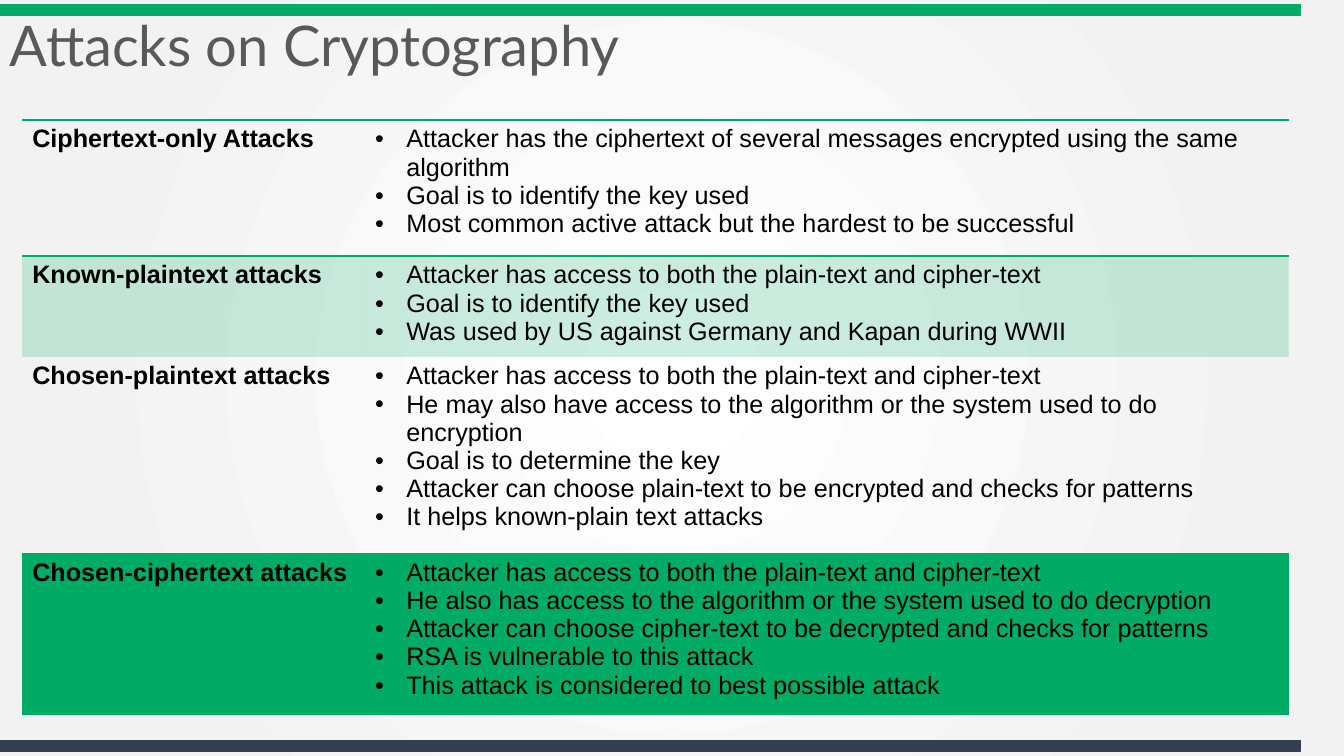
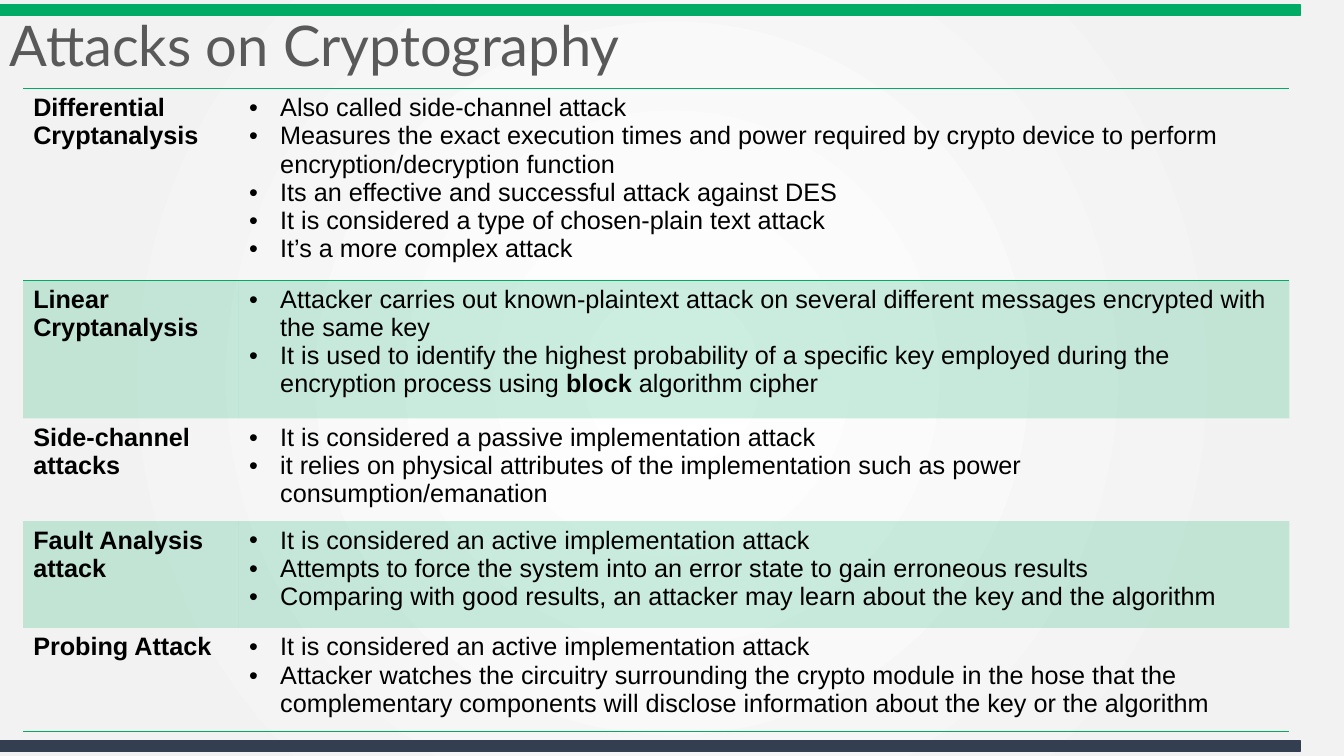
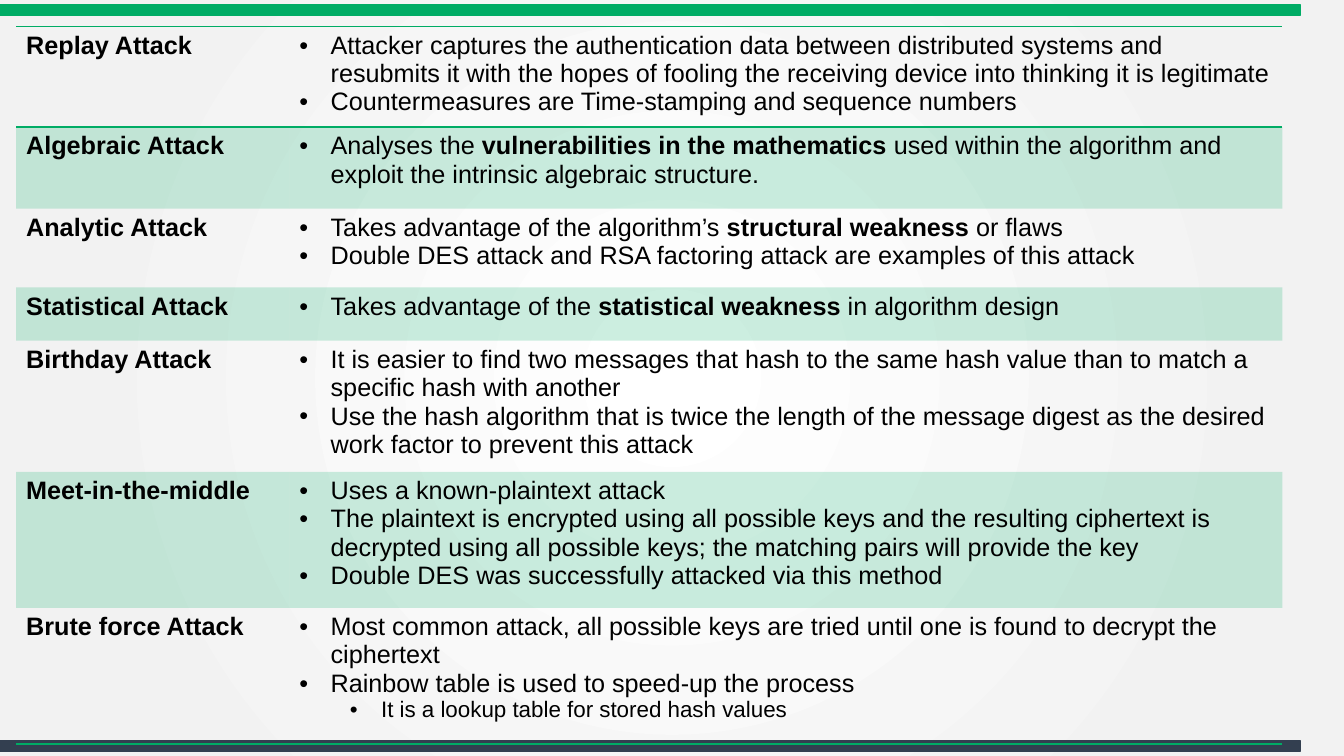
from dataclasses import dataclass

from pptx import Presentation
from pptx.dml.color import RGBColor
from pptx.enum.shapes import MSO_SHAPE as Shape
from pptx.enum.text import MSO_ANCHOR as Anchor
from pptx.oxml import parse_xml
from pptx.oxml.ns import nsdecls, qn
from pptx.util import Emu, Pt
from lxml.etree import SubElement

PX = 9144  # EMU per px, 100 px to the inch
NO_STYLE = "{2D5ABB26-0587-4C30-8999-92F81FD0307C}"


@dataclass(frozen=True)
class Theme:
    green: str = "00AC65"
    navy: str = "333F50"
    title_grey: str = "595959"
    black: str = "000000"
    centre: str = "FFFFFF"
    edge: str = "F2F2F2"
    tint: int = 20  # opacity of shaded rows, percent
    title_font: str = "Lato"
    body_font: str = "Arial"
    title_size: int = 40
    body_size: int = 18
    sub_size: int = 16
    line_width: int = 1


class AttackDeck:
    """Holds the style, the deck and the current slide."""

    def __init__(self, theme):
        self.theme = theme
        self.deck = Presentation()
        self.deck.slide_width, self.deck.slide_height = self.emu(1333, 750)
        self.page = None

    @staticmethod
    def emu(*lengths):
        return [Emu(length * PX) for length in lengths]

    def add_page(self, title=None):
        self.page = self.deck.slides.add_slide(self.deck.slide_layouts[6])
        self.background()
        self.band(5, self.theme.green)
        self.band(735, self.theme.navy)
        if title:
            self.title(title)

    def background(self):
        theme = self.theme
        self.page.background.fill.solid()
        properties = self.page._element.find(".//" + qn("p:bgPr"))
        properties.remove(properties.find(qn("a:solidFill")))
        stops = "".join(
            f'<a:gs pos="{place * 1000}"><a:srgbClr val="{color}"/></a:gs>'
            for place, color in ((0, theme.centre), (81, theme.edge), (100, theme.edge)))
        properties.insert(0, parse_xml(
            f'<a:gradFill {nsdecls("a")} rotWithShape="1"><a:gsLst>{stops}</a:gsLst>'
            '<a:path path="circle"><a:fillToRect l="50000" t="50000" r="50000" b="50000"/>'
            '</a:path></a:gradFill>'))

    def band(self, top, color):
        bar = self.page.shapes.add_shape(Shape.RECTANGLE, *self.emu(0, top, 1290, 10))
        bar.shadow.inherit = False
        bar.fill.solid()
        bar.fill.fore_color.rgb = RGBColor.from_string(color)
        bar.line.color.rgb = RGBColor.from_string(color)
        bar.line.width = Pt(self.theme.line_width)

    def title(self, text):
        theme = self.theme
        frame = self.page.shapes.add_textbox(*self.emu(0, 8, 1170, 80)).text_frame
        frame.word_wrap = True
        frame.vertical_anchor = Anchor.MIDDLE
        para = frame.paragraphs[0]
        para.line_spacing = 0.9
        self.span(para, text, theme.title_font, theme.title_size, theme.title_grey)

    def span(self, para, text, font, size, color, bold=False):
        span = para.add_run()
        span.text = text
        span.font.name = font
        span.font.size = Pt(size)
        span.font.bold = bold
        span.font.color.rgb = RGBColor.from_string(color)

    def body(self, para, text, size, bold=False):
        """Text between ** marks is bold."""
        for index, part in enumerate(text.split("**")):
            self.span(para, part, self.theme.body_font, size, self.theme.black,
                      bold or index % 2 == 1)

    def bullet(self, para, text, level=0):
        theme = self.theme
        para.level = level
        properties = para._p.get_or_add_pPr()
        properties.set("marL", str((31 + 50 * level) * PX))
        properties.set("indent", str(-31 * PX))
        SubElement(properties, qn("a:buFont")).set("typeface", theme.body_font)
        SubElement(properties, qn("a:buChar")).set("char", "•")
        self.body(para, text, theme.sub_size if level else theme.body_size)

    def border(self, cell, side):
        width = Pt(self.theme.line_width)
        cell._tc.get_or_add_tcPr().append(parse_xml(
            f'<a:ln{side} {nsdecls("a")} w="{width}"><a:solidFill>'
            f'<a:srgbClr val="{self.theme.green}"/></a:solidFill></a:ln{side}>'))

    def shade(self, cell, tinted):
        if not tinted:
            cell.fill.background()
            return
        cell.fill.solid()
        cell.fill.fore_color.rgb = RGBColor.from_string(self.theme.green)
        color = cell._tc.tcPr.find(".//" + qn("a:srgbClr"))
        SubElement(color, qn("a:alpha")).set("val", str(self.theme.tint * 1000))

    def attack_table(self, left, top, name_width, rows):
        """Rows are (height, attack name, points); a tuple of points is a sublist."""
        widths = (name_width, 1256 - name_width)
        height = sum(row[0] for row in rows)
        frame = self.page.shapes.add_table(
            len(rows), 2, *self.emu(left, top, sum(widths), height))
        table = frame.table
        table.first_row = table.horz_banding = False
        table._tbl.tblPr.find(qn("a:tableStyleId")).text = NO_STYLE
        for column, width in zip(table.columns, self.emu(*widths)):
            column.width = width

        for index, (row_height, name, points) in enumerate(rows):
            table.rows[index].height = Emu(row_height * PX)
            name_cell, points_cell = table.rows[index].cells
            for cell in (name_cell, points_cell):
                if index == 0:
                    self.border(cell, "T")
                if index in (0, len(rows) - 1):
                    self.border(cell, "B")
                self.shade(cell, index % 2 == 1)
            self.body(name_cell.text_frame.paragraphs[0], name,
                      self.theme.body_size, bold=True)
            self.points(points_cell.text_frame, points)

    def points(self, frame, points):
        lines = []
        for point in points:
            if isinstance(point, tuple):
                lines += [(text, 1) for text in point]
            else:
                lines.append((point, 0))
        for index, (text, level) in enumerate(lines):
            para = frame.add_paragraph() if index else frame.paragraphs[0]
            self.bullet(para, text, level)


TITLE = "Attacks on Cryptography"
BOTH_TEXTS = "Attacker has access to both the plain-text and cipher-text"
FIND_KEY = "Goal is to identify the key used"
ACTIVE = "It is considered an active implementation attack"

TEXT_ATTACKS = [
    (135, "Ciphertext-only Attacks", [
        "Attacker has the ciphertext of several messages encrypted using the same algorithm",
        FIND_KEY,
        "Most common active attack but the hardest to be successful"]),
    (100, "Known-plaintext attacks", [
        BOTH_TEXTS,
        FIND_KEY,
        "Was used by US against Germany and Kapan during WWII"]),
    (195, "Chosen-plaintext attacks", [
        BOTH_TEXTS,
        "He may also have access to the algorithm or the system used to do encryption",
        "Goal is to determine the key",
        "Attacker can choose plain-text to be encrypted and checks for patterns",
        "It helps known-plain text attacks"]),
    (160, "Chosen-ciphertext attacks", [
        BOTH_TEXTS,
        "He also has access to the algorithm or the system used to do decryption",
        "Attacker can choose cipher-text to be decrypted and checks for patterns",
        "RSA is vulnerable to this attack",
        "This attack is considered to best possible attack"]),
]

ANALYSIS_ATTACKS = [
    (190, "Differential Cryptanalysis", [
        "Also called side-channel attack",
        "Measures the exact execution times and power required by crypto device to perform "
        "encryption/decryption function",
        "Its an effective and successful attack against DES",
        "It is considered a type of chosen-plain text attack",
        "It’s a more complex attack"]),
    (137, "Linear Cryptanalysis", [
        "Attacker carries out known-plaintext attack on several different messages "
        "encrypted with the same key",
        "It is used to identify the highest probability of a specific key employed during "
        "the encryption process using **block** algorithm cipher"]),
    (102, "Side-channel attacks", [
        "It is considered a passive implementation attack",
        "it relies on physical attributes of the implementation such as power "
        "consumption/emanation"]),
    (106, "Fault Analysis attack", [
        ACTIVE,
        "Attempts to force the system into an error state to gain erroneous results",
        "Comparing with good results, an attacker may learn about the key and the algorithm"]),
    (103, "Probing Attack", [
        ACTIVE,
        "Attacker watches the circuitry surrounding the crypto module in the hose that the "
        "complementary components will disclose information about the key or the algorithm"]),
]

OTHER_ATTACKS = [
    (100, "Replay Attack", [
        "Attacker captures the authentication data between distributed systems and resubmits "
        "it with the hopes of fooling the receiving device into thinking it is legitimate",
        "Countermeasures are Time-stamping and sequence numbers"]),
    (81, "Algebraic Attack", [
        "Analyses the **vulnerabilities in the mathematics **used within the algorithm and "
        "exploit the intrinsic algebraic structure."]),
    (78, "Analytic Attack", [
        "Takes advantage of the algorithm’s **structural weakness **or flaws",
        "Double DES attack and RSA factoring attack are examples of this attack"]),
    (53, "Statistical Attack", [
        "Takes advantage of the **statistical weakness **in algorithm design"]),
    (130, "Birthday Attack", [
        "It is easier to find two messages that hash to the same hash value than to match a "
        "specific hash with another",
        "Use the hash algorithm that is twice the length of the message digest as the desired "
        "work factor to prevent this attack"]),
    (135, "Meet-in-the-middle", [
        "Uses a known-plaintext attack",
        "The plaintext is encrypted using all possible keys and the resulting ciphertext is "
        "decrypted using all possible keys; the matching pairs will provide the key",
        "Double DES was successfully attacked via this method"]),
    (135, "Brute force Attack", [
        "Most common attack, all possible keys are tried until one is found to decrypt the "
        "ciphertext",
        "Rainbow table is used to speed-up the process",
        ("It is a lookup table for stored hash values",)]),
]


def main():
    show = AttackDeck(Theme())

    # Attacks by known or chosen text
    show.add_page(TITLE)
    show.attack_table(22, 119, 340, TEXT_ATTACKS)

    # Cryptanalysis and implementation attacks
    show.add_page(TITLE)
    show.attack_table(23, 88, 214, ANALYSIS_ATTACKS)

    # Remaining attacks, without a title
    show.add_page()
    show.attack_table(16, 26, 271, OTHER_ATTACKS)

    show.deck.save("out.pptx")


if __name__ == "__main__":
    main()
